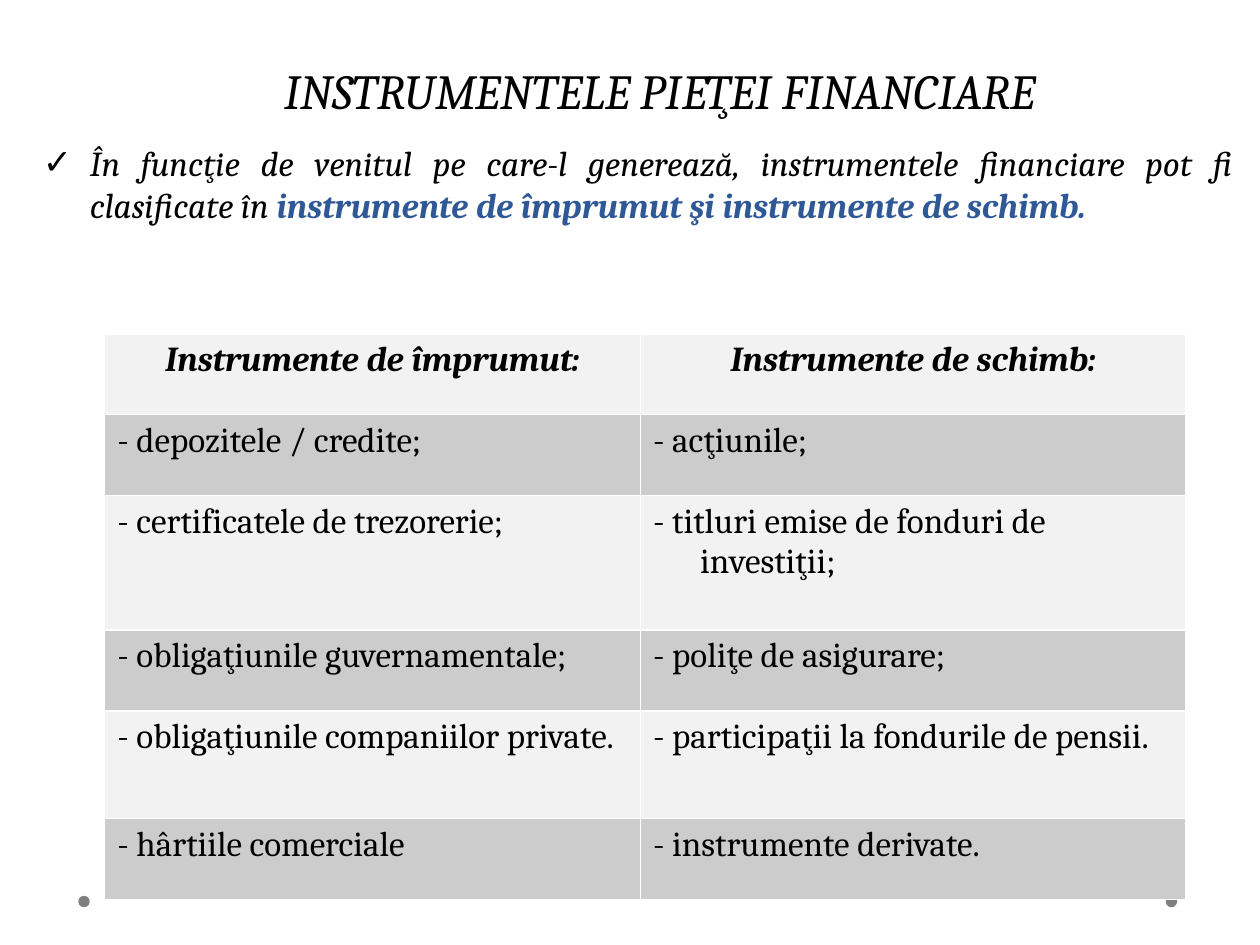
import pptx
import pptx.util
import pptx.dml.color
import pptx.enum.shapes
import pptx.enum.text
import pptx.oxml
import pptx.oxml.ns

Cm, Pt = pptx.util.Cm, pptx.util.Pt
RGB = pptx.dml.color.RGBColor.from_string
ALIGN = pptx.enum.text.PP_ALIGN
NS = pptx.oxml.ns.nsdecls("a")

COLORS = {"text": "000000", "key": "2F5897", "dot": "7F7F7F",
          "light": "F2F2F2", "dark": "CCCCCC", "line": "FFFFFF"}
HANG = Cm(0.95)


def style(par, size, align, bold=False, italic=False):
    par.alignment = align
    font = par.font
    font.name, font.size = "Cambria", Pt(size)
    font.bold, font.italic = bold, italic
    font.color.rgb = RGB(COLORS["text"])


def indent(par):
    """Give the paragraph a hanging indent."""
    props = par._p.get_or_add_pPr()
    props.set("marL", str(HANG))
    props.set("indent", str(-HANG))
    return props


deck = pptx.Presentation()
deck.slide_width, deck.slide_height = Cm(25.4), Cm(19.05)
slide = deck.slides.add_slide(deck.slide_layouts[1])

# Title
title = slide.shapes.title
title.left, title.top, title.width, title.height = Cm(2.29), Cm(0), Cm(22.02), Cm(2.77)
title.text_frame.vertical_anchor = pptx.enum.text.MSO_ANCHOR.MIDDLE
par = title.text_frame.paragraphs[0]
par.text = "INSTRUMENTELE PIEŢEI FINANCIARE"
par.line_spacing = Pt(58)
style(par, 28, ALIGN.CENTER, italic=True)

# Introduction
body = slide.placeholders[1]
body.left, body.top, body.width, body.height = Cm(0.61), Cm(2.72), Cm(24.49), Cm(2.59)
par = body.text_frame.paragraphs[0]
props = indent(par)
for xml in (f'<a:buClr {NS}><a:srgbClr val="{COLORS["text"]}"/></a:buClr>',
            f'<a:buChar {NS} char="✓"/>'):
    props.append(pptx.oxml.parse_xml(xml))
par.space_before = Pt(0)
style(par, 20, ALIGN.JUSTIFY, italic=True)
par.add_run().text = ("În funcţie de venitul pe care-l generează, "
                      "instrumentele financiare pot fi clasificate în ")
key = par.add_run()
key.text = "instrumente de împrumut şi instrumente de schimb."
key.font.bold = True
key.font.color.rgb = RGB(COLORS["key"])

# Corner dots
for left in (1.58, 23.5):
    dot = slide.shapes.add_shape(pptx.enum.shapes.MSO_SHAPE.OVAL,
                                 Cm(left), Cm(18.06), Cm(0.23), Cm(0.23))
    dot.shadow.inherit = False
    dot.fill.solid()
    dot.fill.fore_color.rgb = RGB(COLORS["dot"])
    dot.line.fill.background()

# Table of instruments
rows = [
    ("Instrumente de împrumut:", "Instrumente de schimb:"),
    ("- depozitele / credite;", "- acţiunile;"),
    ("- certificatele de trezorerie;", "- titluri emise de fonduri de investiţii;"),
    ("- obligaţiunile guvernamentale;", "- poliţe de asigurare;"),
    ("- obligaţiunile companiilor private.", "- participaţii la fondurile de pensii."),
    ("- hârtiile comerciale", "- instrumente derivate."),
]
widths = (10.8, 11.0)
heights = (1.63, 1.63, 2.71, 1.63, 2.17, 1.63)
table = slide.shapes.add_table(len(rows), len(widths), Cm(2.11), Cm(6.73),
                               Cm(sum(widths)), Cm(sum(heights))).table
for col, width in zip(table.columns, widths):
    col.width = Cm(width)
for r, (row, height) in enumerate(zip(rows, heights)):
    table.rows[r].height = Cm(height)
    head = r == 0
    for c, text in enumerate(row):
        cell = table.cell(r, c)
        props = cell._tc.get_or_add_tcPr()
        for side in "LRTB":
            props.append(pptx.oxml.parse_xml(
                f'<a:ln{side} {NS} w="{Pt(0.96)}"><a:solidFill>'
                f'<a:srgbClr val="{COLORS["line"]}"/></a:solidFill></a:ln{side}>'))
        cell.fill.solid()
        cell.fill.fore_color.rgb = RGB(COLORS["dark" if r % 2 else "light"])
        par = cell.text_frame.paragraphs[0]
        par.text = text
        indent(par)
        style(par, 20, ALIGN.CENTER if head else ALIGN.LEFT, bold=head, italic=head)

deck.save("out.pptx")
